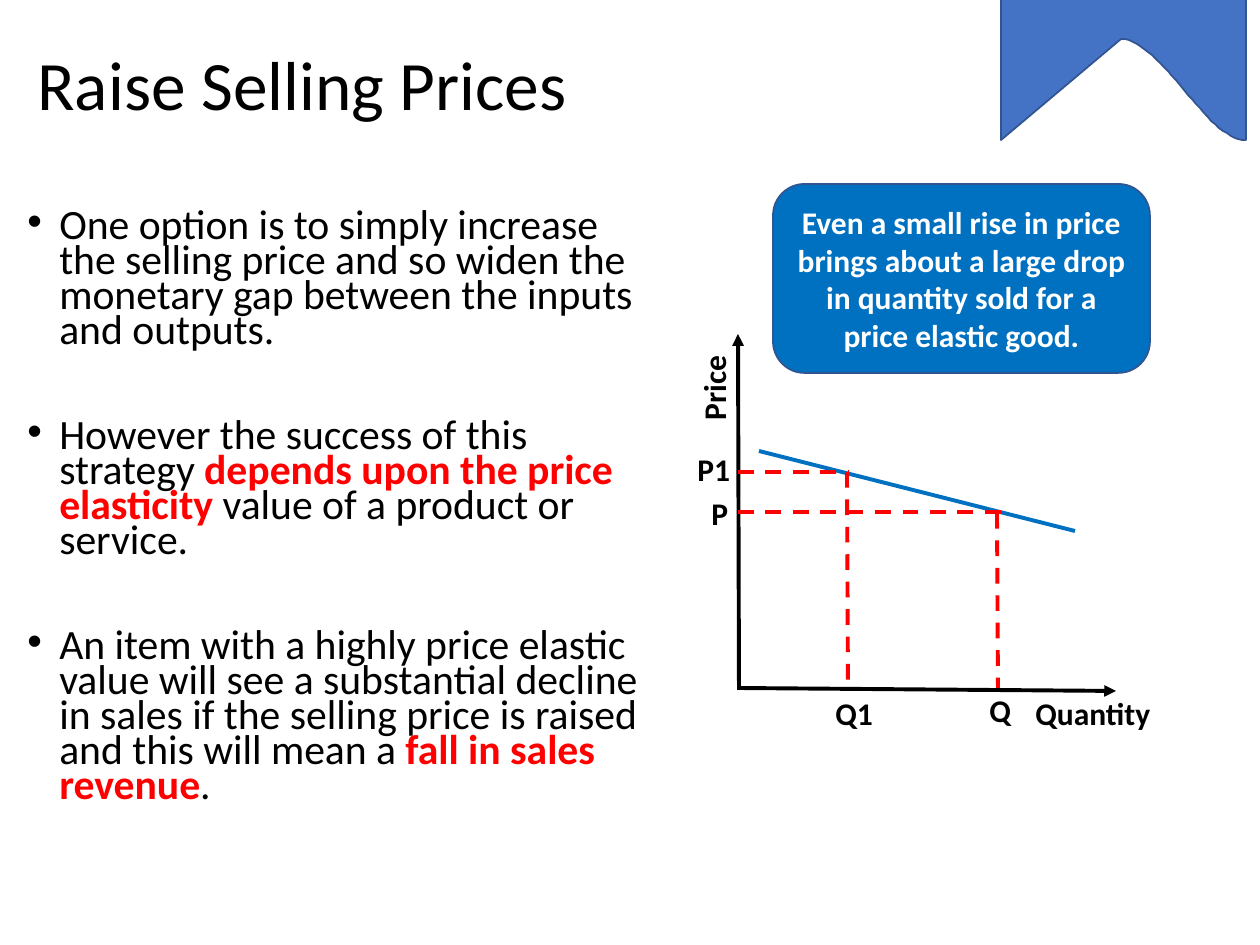
from dataclasses import dataclass

from lxml.etree import SubElement
from pptx import Presentation
from pptx.dml.color import RGBColor
from pptx.enum.dml import MSO_LINE_DASH_STYLE as Dash
from pptx.enum.shapes import MSO_CONNECTOR as Connector, MSO_SHAPE as Preset
from pptx.enum.text import MSO_ANCHOR as Anchor, PP_ALIGN as Align
from pptx.oxml.ns import qn
from pptx.util import Pt

EMU_PER_PX = 914400 / 126


@dataclass(frozen=True)
class Theme:
    """Fonts, type sizes, line widths and colours."""
    font: str = "Calibri"
    title: float = 39.6
    body: float = 23.8
    label: float = 18
    edge: float = 1
    stroke: float = 2.25
    black: str = "000000"
    white: str = "FFFFFF"
    red: str = "FF0000"
    blue: str = "0070C0"
    ribbon: str = "4472C4"
    outline: str = "325491"


def emu(px):
    """Turn pixels into EMU."""
    return round(px * EMU_PER_PX)


def curve(start, first, second, end, steps=32):
    """Return points along a cubic Bezier curve after its start."""
    points = []
    for step in range(1, steps + 1):
        t = step / steps
        u = 1 - t
        weights = (u ** 3, 3 * u * u * t, 3 * u * t * t, t ** 3)
        points.append(tuple(
            sum(weight * value for weight, value in zip(weights, axis))
            for axis in zip(start, first, second, end)))
    return points


class SlideBuilder:
    """Draw styled elements on one slide."""

    def __init__(self, slide, theme):
        self.shapes = slide.shapes
        self.theme = theme

    def span(self, para, text, size, color, bold=False):
        """Add one run to a paragraph."""
        span = para.add_run()
        span.text = text
        span.font.name = self.theme.font
        span.font.size = Pt(size)
        span.font.bold = bold
        span.font.color.rgb = RGBColor.from_string(color)

    def text_box(self, left, top, width, height, wrap=True):
        """Add an empty text box."""
        box = self.shapes.add_textbox(*map(emu, (left, top, width, height)))
        box.text_frame.word_wrap = wrap
        return box

    def title(self, text, *place):
        """Add the slide title."""
        frame = self.text_box(*place).text_frame
        frame.vertical_anchor = Anchor.MIDDLE
        para = frame.paragraphs[0]
        para.line_spacing = 0.9
        self.span(para, text, self.theme.title, self.theme.black)

    def bullets(self, items, *place):
        """Add bulleted paragraphs whose runs may be emphasised."""
        frame = self.text_box(*place).text_frame
        for index, item in enumerate(items):
            para = frame.add_paragraph() if index else frame.paragraphs[0]
            para.line_spacing = 0.7
            para.space_before = Pt(40 if index else 10)
            props = para._p.get_or_add_pPr()
            props.set("marL", str(emu(32)))
            props.set("indent", str(emu(-32)))
            SubElement(props, qn("a:buFont"), typeface="Arial")
            SubElement(props, qn("a:buChar"), char="•")
            for text, strong in item:
                color = self.theme.red if strong else self.theme.black
                self.span(para, text, self.theme.body, color, strong)

    def label(self, text, *place, rotation=0):
        """Add a bold chart label."""
        box = self.text_box(*place, wrap=False)
        box.rotation = rotation
        self.span(box.text_frame.paragraphs[0], text, self.theme.label, self.theme.black, True)

    def line(self, start, end, color, dashed=False, arrow=False):
        """Add a straight line."""
        line = self.shapes.add_connector(Connector.STRAIGHT, *map(emu, (*start, *end)))
        line.line.color.rgb = RGBColor.from_string(color)
        line.line.width = Pt(self.theme.stroke)
        if dashed:
            line.line.dash_style = Dash.DASH
        if arrow:
            SubElement(line.line._get_or_add_ln(), qn("a:tailEnd"), type="triangle")
        SubElement(line._element.spPr, qn("a:effectLst"))

    def paint(self, shape, fill):
        """Give a shape its fill and outline."""
        shape.shadow.inherit = False
        shape.fill.solid()
        shape.fill.fore_color.rgb = RGBColor.from_string(fill)
        shape.line.color.rgb = RGBColor.from_string(self.theme.outline)
        shape.line.width = Pt(self.theme.edge)

    def callout(self, text, *place):
        """Add a rounded box with centred text."""
        box = self.shapes.add_shape(Preset.ROUNDED_RECTANGLE, *map(emu, place))
        self.paint(box, self.theme.blue)
        frame = box.text_frame
        frame.word_wrap = True
        frame.vertical_anchor = Anchor.MIDDLE
        para = frame.paragraphs[0]
        para.alignment = Align.CENTER
        self.span(para, text, self.theme.label, self.theme.white, True)

    def outline(self, points, fill):
        """Add a closed free outline."""
        builder = self.shapes.build_freeform(*points[0], scale=EMU_PER_PX)
        builder.add_line_segments(points[1:], close=True)
        self.paint(builder.convert_to_shape(), fill)


def main():
    """Build and save the slide."""
    theme = Theme()
    deck = Presentation()
    deck.slide_width, deck.slide_height = emu(1260), emu(945)
    page = SlideBuilder(deck.slides.add_slide(deck.slide_layouts[6]), theme)

    page.title("Raise Selling Prices", 25, 45, 1050, 87)
    page.bullets([
        [("One option is to simply increase the selling price and so widen "
          "the monetary gap between the inputs and outputs.", False)],
        [("However the success of this strategy ", False),
         ("depends upon the price elasticity ", True),
         ("value of a product or service.", False)],
        [("An item with a highly price elastic value will see a substantial decline "
          "in sales if the selling price is raised and this will mean a ", False),
         ("fall in sales revenue", True),
         (".", False)],
    ], 15, 205, 656, 662)

    page.line((739, 690), (738, 334), theme.black, arrow=True)
    page.line((738, 688), (1116, 691), theme.black, arrow=True)
    page.line((759, 451), (1075, 531), theme.blue)
    for start, end in [
        ((738, 512), (1007, 512)),
        ((738, 472), (848, 472)),
        ((847, 472), (848, 688)),
        ((997, 513), (998, 688)),
    ]:
        page.line(start, end, theme.red, dashed=True)

    page.label("Price", 639, 333, 149, 50, rotation=270)
    for text, left, top, width in [
        ("Quantity", 1023, 688, 141),
        ("P", 699, 488, 49),
        ("P1", 685, 444, 67),
        ("Q1", 823, 688, 67),
        ("Q", 977, 685, 49),
    ]:
        page.label(text, left, top, width, 50)

    page.callout("Even a small rise in price brings about a large drop "
                 "in quantity sold for a price elastic good.", 773, 184, 377, 189)

    right_tip = (1246, 140)
    notch = curve(right_tip, (1206, 140), (1162, 40), (1121, 39))
    page.outline([(1001, -759), (1246, -759), right_tip, *notch, (1001, 140)], theme.ribbon)

    deck.save("out.pptx")


if __name__ == "__main__":
    main()
